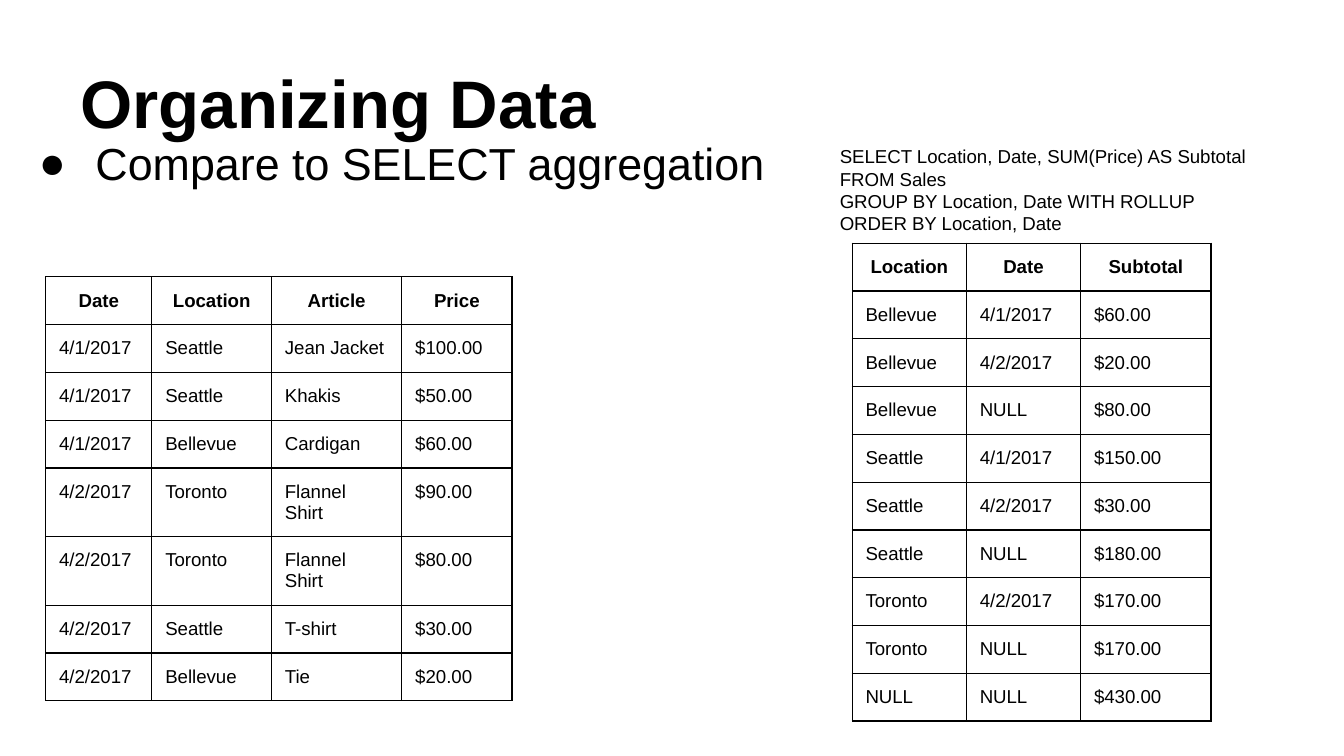
from dataclasses import dataclass

from lxml.etree import SubElement
from pptx import Presentation
from pptx.dml.color import RGBColor
from pptx.enum.text import MSO_ANCHOR as Anchor, MSO_AUTO_SIZE as AutoSize, PP_ALIGN as Align
from pptx.oxml.ns import qn
from pptx.util import Inches, Pt

COLORS = {"ink": "000000"}
FONT = "Arial"
ROW_HEIGHT = 0.35
TALL_ROW_HEIGHT = 0.51
INSET = Inches(0.1)


@dataclass
class Grid:
    left: float
    top: float
    widths: list[float]
    rows: list[list[str]]
    tall_rows: tuple[int, ...] = ()


SALES = Grid(0.34, 2.06, [0.79, 0.89, 0.97, 0.82], [
    ["Date", "Location", "Article", "Price"],
    ["4/1/2017", "Seattle", "Jean Jacket", "$100.00"],
    ["4/1/2017", "Seattle", "Khakis", "$50.00"],
    ["4/1/2017", "Bellevue", "Cardigan", "$60.00"],
    ["4/2/2017", "Toronto", "Flannel Shirt", "$90.00"],
    ["4/2/2017", "Toronto", "Flannel Shirt", "$80.00"],
    ["4/2/2017", "Seattle", "T-shirt", "$30.00"],
    ["4/2/2017", "Bellevue", "Tie", "$20.00"],
], tall_rows=(4, 5))

SUBTOTALS = Grid(6.34, 1.81, [0.85, 0.85, 0.97], [
    ["Location", "Date", "Subtotal"],
    ["Bellevue", "4/1/2017", "$60.00"],
    ["Bellevue", "4/2/2017", "$20.00"],
    ["Bellevue", "NULL", "$80.00"],
    ["Seattle", "4/1/2017", "$150.00"],
    ["Seattle", "4/2/2017", "$30.00"],
    ["Seattle", "NULL", "$180.00"],
    ["Toronto", "4/2/2017", "$170.00"],
    ["Toronto", "NULL", "$170.00"],
    ["NULL", "NULL", "$430.00"],
])

QUERY = [
    "SELECT Location, Date, SUM(Price) AS Subtotal",
    "FROM Sales",
    "GROUP BY Location, Date WITH ROLLUP",
    "ORDER BY Location, Date",
]


def add_run(p, text: str, size: float, bold: bool = False) -> None:
    r = p.add_run()
    r.text = text
    r.font.name = FONT
    r.font.size = Pt(size)
    r.font.bold = bold
    r.font.color.rgb = RGBColor.from_string(COLORS["ink"])


def set_insets(target) -> None:
    target.margin_left = target.margin_right = INSET
    target.margin_top = target.margin_bottom = INSET


def prepare_frame(sp, left: float, top: float, width: float, height: float, anchor):
    sp.left, sp.top = Inches(left), Inches(top)
    sp.width, sp.height = Inches(width), Inches(height)
    tf = sp.text_frame
    tf.word_wrap = True
    tf.auto_size = AutoSize.NONE
    tf.vertical_anchor = anchor
    set_insets(tf)
    return tf


def add_bullet(p) -> None:
    pPr = p._p.get_or_add_pPr()
    pPr.set("marL", str(Inches(0.5)))
    pPr.set("indent", str(Inches(-0.42)))
    color = SubElement(pPr, qn("a:buClr"))
    SubElement(color, qn("a:srgbClr"), val=COLORS["ink"])
    SubElement(pPr, qn("a:buFont"), typeface=FONT)
    SubElement(pPr, qn("a:buChar"), char="●")


def add_borders(cell) -> None:
    tcPr = cell._tc.get_or_add_tcPr()
    for i, side in enumerate(("lnL", "lnR", "lnT", "lnB")):
        ln = tcPr.makeelement(qn(f"a:{side}"), {"w": str(Pt(0.75))})
        fill = SubElement(ln, qn("a:solidFill"))
        SubElement(fill, qn("a:srgbClr"), val=COLORS["ink"])
        tcPr.insert(i, ln)


def draw_grid(slide, grid: Grid) -> None:
    heights = [TALL_ROW_HEIGHT if i in grid.tall_rows else ROW_HEIGHT
               for i in range(len(grid.rows))]
    table = slide.shapes.add_table(
        len(grid.rows), len(grid.widths), Inches(grid.left), Inches(grid.top),
        Inches(sum(grid.widths)), Inches(sum(heights))).table
    table.first_row = table.horz_banding = False
    for column, width in zip(table.columns, grid.widths):
        column.width = Inches(width)
    for i, (row, values) in enumerate(zip(table.rows, grid.rows)):
        row.height = Inches(heights[i])
        for cell, value in zip(row.cells, values):
            set_insets(cell)
            cell.fill.background()
            add_borders(cell)
            p = cell.text_frame.paragraphs[0]
            p.alignment = Align.CENTER if i == 0 else Align.LEFT
            add_run(p, value, 10, bold=i == 0)


def main() -> None:
    prs = Presentation()
    prs.slide_width = Inches(10)
    prs.slide_height = prs.slide_width * 9 // 16
    slide = prs.slides.add_slide(prs.slide_layouts[1])

    tf = prepare_frame(slide.shapes.title, 0.5, 0.22, 9, 0.94, Anchor.BOTTOM)
    p = tf.paragraphs[0]
    p.alignment = Align.LEFT
    add_run(p, "Organizing Data", 36, bold=True)

    tf = prepare_frame(slide.placeholders[1], 0.11, 0.91, 9.73, 4.22, Anchor.TOP)
    p = tf.paragraphs[0]
    p.space_before = Pt(6)
    add_bullet(p)
    add_run(p, "Compare to SELECT aggregation", 24)

    for grid in (SALES, SUBTOTALS):
        draw_grid(slide, grid)

    box = (6.15, 0.98, 3.31, 0.82)
    sp = slide.shapes.add_textbox(*map(Inches, box))
    tf = prepare_frame(sp, *box, Anchor.TOP)
    for i, line in enumerate(QUERY):
        p = tf.add_paragraph() if i else tf.paragraphs[0]
        p.line_spacing = Pt(12)
        add_run(p, line, 10)

    prs.save("out.pptx")


if __name__ == "__main__":
    main()
